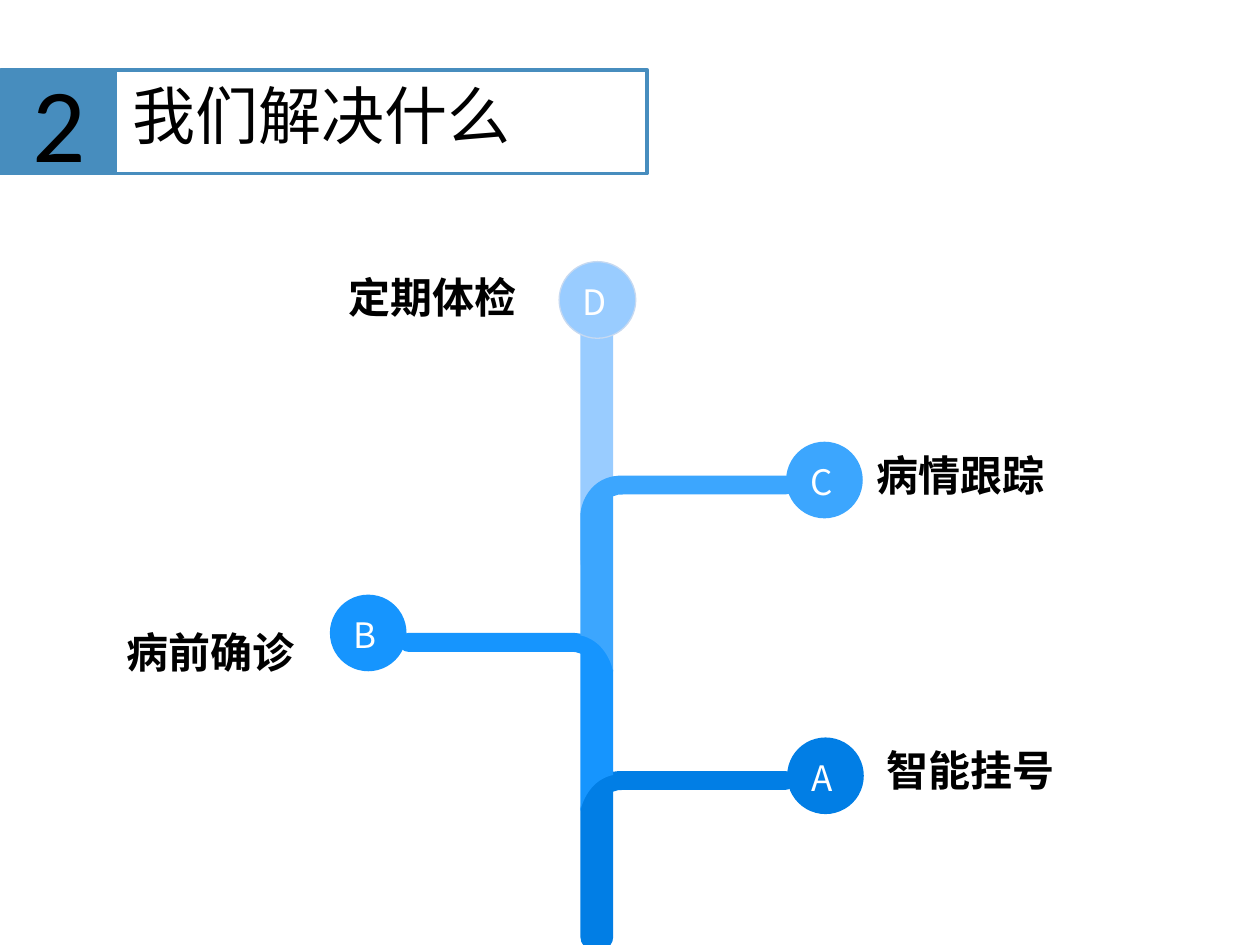
from pptx import Presentation
from pptx import util as u
from pptx.dml.color import RGBColor
from pptx.enum import shapes, text
from pptx.oxml import ns

Pt = u.Pt


class Theme:
    header, ink, white, rim = "478DBE", "000000", "FFFFFF", "C6D9F1"
    a, b, c, d = "017EE5", "1695FE", "3CA6FE", "99CCFF"
    cjk, latin = "Noto Sans CJK SC", "Calibri"
    number, title, label, letter = 60, 36, 24, 20


def paint(sp, fill=None, line=None, width=0):
    sp.shadow.inherit = False
    if fill:
        sp.fill.solid()
        sp.fill.fore_color.rgb = RGBColor.from_string(fill)
    else:
        sp.fill.background()
    if line:
        sp.line.color.rgb = RGBColor.from_string(line)
        sp.line.width = Pt(width)
    else:
        sp.line.fill.background()


def add_box(slide, kind, box, **style):
    sp = slide.shapes.add_shape(kind, *map(Pt, box))
    paint(sp, **style)


def add_text(slide, box, words, size, color=Theme.ink, font=Theme.cjk,
             bold=False, align=None, spacing=None):
    tf = slide.shapes.add_textbox(*map(Pt, box)).text_frame
    tf.word_wrap = True
    tf.text = words
    p = tf.paragraphs[0]
    p.alignment, p.line_spacing = align, spacing
    r = p.runs[0]
    r.font.size, r.font.bold, r.font.name = Pt(size), bold, font
    r.font.color.rgb = RGBColor.from_string(color)
    props = r._r.get_or_add_rPr()
    props.append(props.makeelement(ns.qn("a:ea"), {"typeface": font}))


def add_outline(slide, start, segments, place, color):
    """Draw line segments (one point) and Bezier segments (three points)."""
    pts = [tuple(map(Pt, place(x, y)))
           for x, y in [start] + [q for seg in segments for q in seg]]
    builder = slide.shapes.build_freeform(*pts[0], scale=1.0)
    builder.add_line_segments(pts[1:], close=True)
    sp = builder.convert_to_shape()
    paint(sp, fill=color)
    # Merge each run of three points into one curve
    lines = iter(list(sp._element.iter(ns.qn("a:lnTo"))))
    for seg in segments:
        parts = [next(lines) for _ in seg]
        if len(parts) == 3:
            curve = parts[0].makeelement(ns.qn("a:cubicBezTo"), {})
            parts[0].addprevious(curve)
            for part in parts:
                curve.append(part[0])
                part.getparent().remove(part)


def header(slide, x, y, number, title):
    rect = shapes.MSO_SHAPE.RECTANGLE
    add_text(slide, (x + 68, y, 266, 51), title, Theme.title)
    add_box(slide, rect, (x, y, 65, 59.3), fill=Theme.header, line=Theme.header, width=2.25)
    add_box(slide, rect, (x + 55.5, y, 313.5, 59.3), line=Theme.header, width=2.25)
    add_text(slide, (x + 11, y - 10.5, 47, 80), number, Theme.number, font=Theme.latin)


TRUNK_X, TRUNK_W = 331.7, 18.7


def tip(slide, top, height, color):
    """Topmost trunk piece with rounded shoulders and a slanted foot."""
    w, r = TRUNK_W, 6
    add_outline(slide, (w, height - 47), [
        [(w, 13)], [(w, 6), (w - 2.5, 0), (w - r, 0)],
        [(r, 0)], [(2.5, 0), (0, 6), (0, 13)],
        [(0, height)], [(0.7, height - 15), (5.8, height - 41), (w, height - 47)],
    ], lambda x, y: (TRUNK_X + x, top + y), color)


def branch(slide, top, height, color, mirror=False, rooted=False):
    """Trunk piece with a side arm; height is measured on the outer side."""
    w, arm, end = TRUNK_W, 10.8, 117
    if rooted:
        foot = [[(w, height - 6.5)], [(w, height - 3), (w - 2.5, height), (w - 6, height)],
                [(6, height)], [(2.5, height), (0, height - 3), (0, height - 6.5)]]
    else:
        foot = [[(w, height + 20.5)],
                [(w - 1.4, height + 14), (w - 6.5, height + 2.5), (0, height)]]
    segments = [
        [(end + 3, 0), (end + 5.4, 2.2), (end + 5.4, 5.4)],
        [(end + 5.4, 8.4), (end + 3, arm), (end, arm)],
        [(24.5, arm)], [(22.5, arm), (20.5, arm), (w, 11.8)],
        *foot, [(0, 21.6)],
        [(0.7, 14.4), (5.8, 2.9), (w, 0.4)], [(20.5, 0), (22.5, 0), (25, 0)],
    ]

    def place(x, y):
        return TRUNK_X + (w - x if mirror else x), top + y

    add_outline(slide, (end, 0), segments, place, color)


def node(slide, x, y, letter, color, rim=None):
    add_box(slide, shapes.MSO_SHAPE.OVAL, (x, y, 43.8, 43.8), fill=color, line=rim, width=0.75)
    add_text(slide, (x + 5.3, y + 7.2, 30, 32), letter, Theme.letter, Theme.white,
             align=text.PP_ALIGN.CENTER)


def tree(slide):
    # Trunk and arms, back to front
    tip(slide, 162, 161, Theme.d)
    branch(slide, 440.6, 101.5, Theme.a, rooted=True)
    branch(slide, 361.7, 81.2, Theme.b, mirror=True)
    branch(slide, 271.8, 91.3, Theme.c)
    # Lettered nodes
    for x, y, letter, color, rim in (
            (449.8, 421.4, "A", Theme.a, None),
            (188.5, 339.8, "B", Theme.b, None),
            (449.2, 252.4, "C", Theme.c, None),
            (319.5, 149.5, "D", Theme.d, Theme.rim)):
        node(slide, x, y, letter, color, rim)
    # Labels
    for box, words, spacing in (
            ((499.7, 421.9, 124.5, 58), "智能挂号", None),
            ((65.2, 339.8, 119.5, 42.5), "病前确诊", 1.5),
            ((493.9, 253.4, 123, 36), "病情跟踪", None),
            ((192.2, 151.5, 114.5, 36.7), "定期体检", None)):
        add_text(slide, box, words, Theme.label, bold=True, spacing=spacing)


prs = Presentation()
prs.slide_width, prs.slide_height = Pt(720), Pt(540)
s = prs.slides.add_slide(prs.slide_layouts[6])
header(s, 0.7, 39.9, "2", "我们解决什么")
tree(s)
prs.save("out.pptx")
